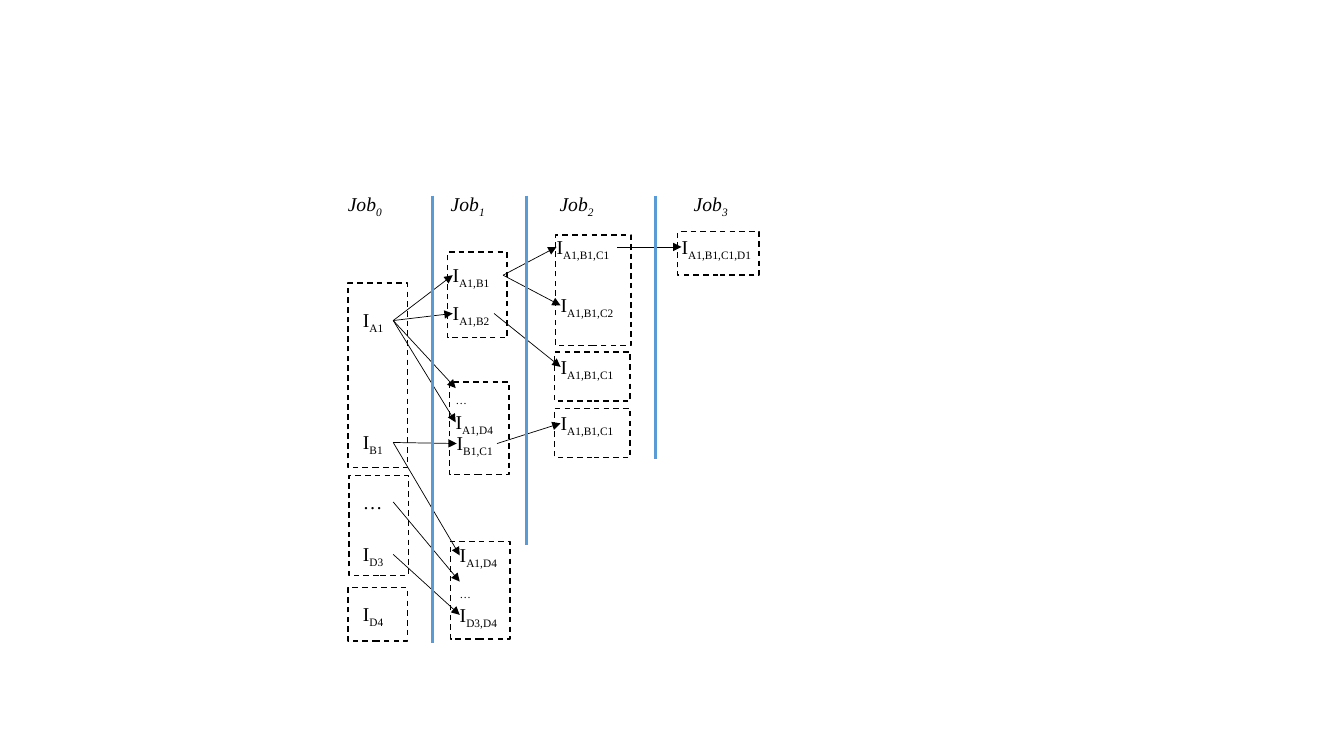
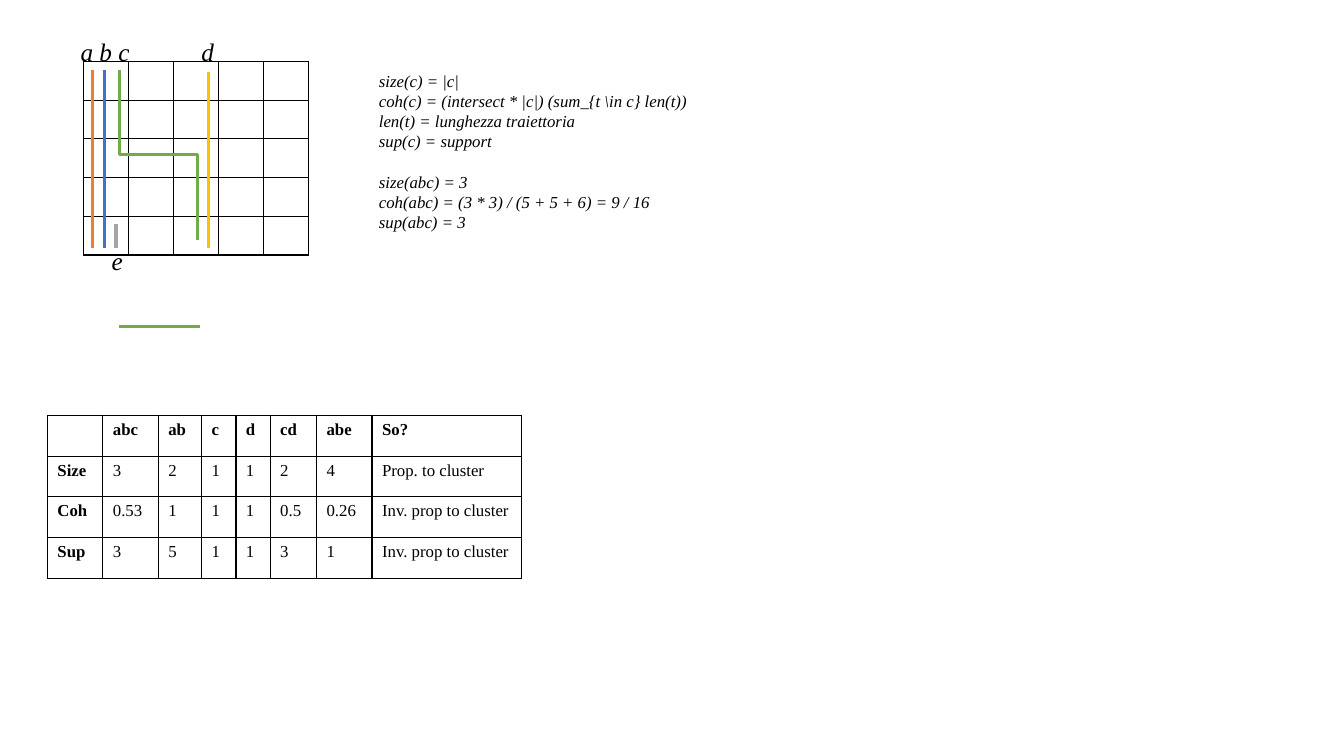
from lxml import etree
from pptx import Presentation
from pptx.dml.color import RGBColor
from pptx.enum import dml, shapes, text
from pptx.oxml import ns
from pptx.util import Inches, Pt

BLACK = RGBColor(0x00, 0x00, 0x00)
SKY = RGBColor(0x5B, 0x9B, 0xD5)
ORANGE = RGBColor(0xED, 0x7D, 0x31)
BLUE = RGBColor(0x44, 0x72, 0xC4)
GREEN = RGBColor(0x70, 0xAD, 0x47)
GOLD = RGBColor(0xFF, 0xC0, 0x00)
GRAY = RGBColor(0xA5, 0xA5, 0xA5)
FONT = "Times New Roman"
STRAIGHT = shapes.MSO_CONNECTOR.STRAIGHT
ELBOW = shapes.MSO_CONNECTOR.ELBOW
RIGHT, LEFT = 3, 1

# key: left, top, width, head, subscript
ITEMS = {
    "A1": (3.6, 3.06, 0.3, "I", "A1"),
    "B1": (3.6, 4.27, 0.3, "I", "B1"),
    "dots": (3.6, 4.86, 0.3, "…", ""),
    "D3": (3.6, 5.38, 0.3, "I", "D3"),
    "D4": (3.6, 5.97, 0.3, "I", "D4"),
    "A1B1": (4.49, 2.61, 0.5, "I", "A1,B1"),
    "A1B2": (4.49, 2.99, 0.41, "I", "A1,B2"),
    "dots top": (4.52, 3.77, 0.5, "", "…"),
    "A1D4": (4.52, 4.07, 0.5, "I", "A1,D4"),
    "B1C1": (4.53, 4.28, 0.4, "I", "B1,C1"),
    "A1D4 low": (4.56, 5.39, 0.5, "I", "A1,D4"),
    "dots low": (4.56, 5.69, 0.5, "", "…"),
    "D3D4": (4.56, 5.98, 0.5, "I", "D3,D4"),
    "C1": (5.52, 2.33, 0.6, "I", "A1,B1,C1"),
    "C2": (5.56, 2.91, 0.6, "I", "A1,B1,C2"),
    "C1 mid": (5.56, 3.52, 0.6, "I", "A1,B1,C1"),
    "C1 low": (5.56, 4.08, 0.6, "I", "A1,B1,C1"),
    "D1": (6.76, 2.33, 0.79, "I", "A1,B1,C1,D1"),
}
LINKS = {
    "A1": ("A1B1", "A1B2", "dots top", "A1D4"),
    "B1": ("B1C1", "A1D4 low"),
    "dots": ("dots low",),
    "D3": ("D3D4",),
    "A1B1": ("C1", "C2"),
    "A1B2": ("C1 mid",),
    "B1C1": ("C1 low",),
    "C1": ("D1",),
}
FRAMES = (
    (3.45, 2.81, 0.59, 1.83), (3.46, 4.72, 0.59, 0.99), (3.45, 5.83, 0.59, 0.53),
    (4.44, 2.5, 0.59, 0.85), (4.46, 3.79, 0.59, 0.92), (4.47, 5.37, 0.59, 0.97),
    (5.51, 2.33, 0.75, 1.1), (5.5, 3.49, 0.75, 0.49), (5.5, 4.05, 0.75, 0.49),
    (6.72, 2.3, 0.81, 0.43),
)
JOBS = (3.45, 4.47, 5.55, 6.88)
WALLS = ((4.29, 6.38), (5.22, 5.41), (6.5, 4.55))

RULES = (
    "size(c) = |c|",
    "coh(c) = (intersect * |c|) (sum_{t \\in c} len(t))",
    "len(t) = lunghezza traiettoria",
    "sup(c) = support",
)
SUMS = (
    "size(abc) = 3",
    "coh(abc) = (3 * 3) / (5 + 5 + 6) = 9 / 16",
    "sup(abc) = 3",
)
SCORES = (
    ("", "abc", "ab", "c", "d", "cd", "abe", "So?"),
    ("Size", "3", "2", "1", "1", "2", "4", "Prop. to cluster"),
    ("Coh", "0.53", "1", "1", "1", "0.5", "0.26", "Inv. prop to cluster"),
    ("Sup", "3", "5", "1", "1", "3", "1", "Inv. prop to cluster"),
)
WIDTHS = (0.55, 0.55, 0.43, 0.34, 0.34, 0.46, 0.55, 1.48)


def style(font, size, bold=False, italic=False):
    font.name, font.size = FONT, Pt(size)
    font.bold, font.italic = bold, italic
    font.color.rgb = BLACK


def label(slide, x, y, wide, head, sub, italic=False):
    """Add a symbol with a subscript in a box without margins."""
    tall = 0.24 if head else 0.16
    box = slide.shapes.add_textbox(Inches(x), Inches(y), Inches(wide), Inches(tall))
    frame = box.text_frame
    frame.word_wrap = True
    frame.margin_left = frame.margin_right = frame.margin_top = frame.margin_bottom = 0
    for part, base in ((head, None), (sub, "-25000")):
        if part:
            run = frame.paragraphs[0].add_run()
            run.text = part
            style(run.font, 14, italic=italic)
            if base:
                run.font._element.set("baseline", base)
    return box


def note(slide, x, y, wide, tall, lines, size):
    """Add lines of italic text and return their paragraphs."""
    box = slide.shapes.add_textbox(Inches(x), Inches(y), Inches(wide), Inches(tall))
    frame = box.text_frame
    frame.word_wrap = False
    frame.auto_size = text.MSO_AUTO_SIZE.SHAPE_TO_FIT_TEXT
    frame.text = "\n".join(lines)
    for para in frame.paragraphs:
        for run in para.runs:
            style(run.font, size, italic=True)
    return frame.paragraphs


def line(slide, x1, y1, x2, y2, color, width=2.25, kind=STRAIGHT):
    link = slide.shapes.add_connector(kind, Inches(x1), Inches(y1), Inches(x2), Inches(y2))
    link.line.color.rgb = color
    link.line.width = Pt(width)
    etree.SubElement(link._element.spPr, ns.qn("a:effectLst"))
    return link


def arrow(slide, start, end):
    """Link the right side of one box to the left side of another."""
    link = line(slide, 0, 0, 1, 1, BLACK, 0.5)
    link.begin_connect(start, RIGHT)
    link.end_connect(end, LEFT)
    tip = etree.SubElement(link._element.spPr.find(ns.qn("a:ln")), ns.qn("a:tailEnd"))
    tip.set("type", "triangle")


def dashed(slide, *place):
    box = slide.shapes.add_shape(shapes.MSO_SHAPE.RECTANGLE, *map(Inches, place))
    box.shadow.inherit = False
    box.fill.background()
    box.line.color.rgb = BLACK
    box.line.width = Pt(1)
    box.line.dash_style = dml.MSO_LINE.DASH


def border(cell):
    """Give a clear cell a thin black edge on each side."""
    props = cell._tc.get_or_add_tcPr()
    for side in ("lnL", "lnR", "lnT", "lnB"):
        edge = etree.SubElement(props, ns.qn("a:" + side), w=str(Pt(1)))
        fill = etree.SubElement(edge, ns.qn("a:solidFill"))
        etree.SubElement(fill, ns.qn("a:srgbClr"), val=str(BLACK))
    cell.fill.background()


def table(slide, rows, cols, x, y, wide, tall):
    grid = slide.shapes.add_table(
        rows, cols, Inches(x), Inches(y), Inches(wide), Inches(tall)).table
    grid.first_row = grid.horz_banding = False
    for cell in grid.iter_cells():
        border(cell)
    return grid


def draw_jobs(slide):
    boxes = {key: label(slide, *item) for key, item in ITEMS.items()}
    for start, ends in LINKS.items():
        for end in ends:
            arrow(slide, boxes[start], boxes[end])
    for place in FRAMES:
        dashed(slide, *place)
    for num, x in enumerate(JOBS):
        label(slide, x, 1.9, 0.4, "Job", str(num), italic=True)
    for x, low in WALLS:
        line(slide, x, 1.94, x, low, SKY)


def draw_paths(slide):
    grid = table(slide, 5, 5, 0.83, 0.61, 2.23, 1.92)
    for cell in grid.iter_cells():
        cell.margin_top = cell.margin_bottom = 0
    for x, top, color in ((0.92, 0.69, ORANGE), (1.04, 0.69, BLUE),
                          (2.07, 0.71, GOLD), (1.15, 2.22, GRAY)):
        line(slide, x, top, x, 2.46, color)
    bend = line(slide, 2.42, 1.15, 0.73, 1.92, GREEN, kind=ELBOW)
    bend._element.spPr.find(ns.qn("a:xfrm")).set("rot", "16200000")
    line(slide, 1.98, 3.24, 1.18, 3.24, GREEN)
    for x, y, wide, name in ((0.7, 0.31, 0.69, "a b c"), (1.9, 0.31, 0.34, "d"),
                             (1.01, 2.38, 0.31, "e")):
        note(slide, x, y, wide, 0.4, [name], 18)


def draw_scores(slide):
    paras = note(slide, 3.66, 0.65, 3.3, 1.72, RULES + SUMS, 12)
    paras[len(RULES)].space_before = Pt(14.4)
    grid = table(slide, len(SCORES), len(WIDTHS), 0.47, 4.12, sum(WIDTHS), 1.62)
    for col, wide in zip(grid.columns, WIDTHS):
        col.width = Inches(wide)
    for r, row in enumerate(SCORES):
        for c, value in enumerate(row):
            if value:
                para = grid.cell(r, c).text_frame.paragraphs[0]
                para.text = value
                style(para.runs[0].font, 12, bold=r == 0 or c == 0)


def main():
    deck = Presentation()
    deck.slide_width, deck.slide_height = Inches(13.33), Inches(7.5)
    blank = deck.slide_layouts.get_by_name("Blank")
    draw_jobs(deck.slides.add_slide(blank))
    slide = deck.slides.add_slide(blank)
    draw_paths(slide)
    draw_scores(slide)
    deck.save("out.pptx")


if __name__ == "__main__":
    main()
